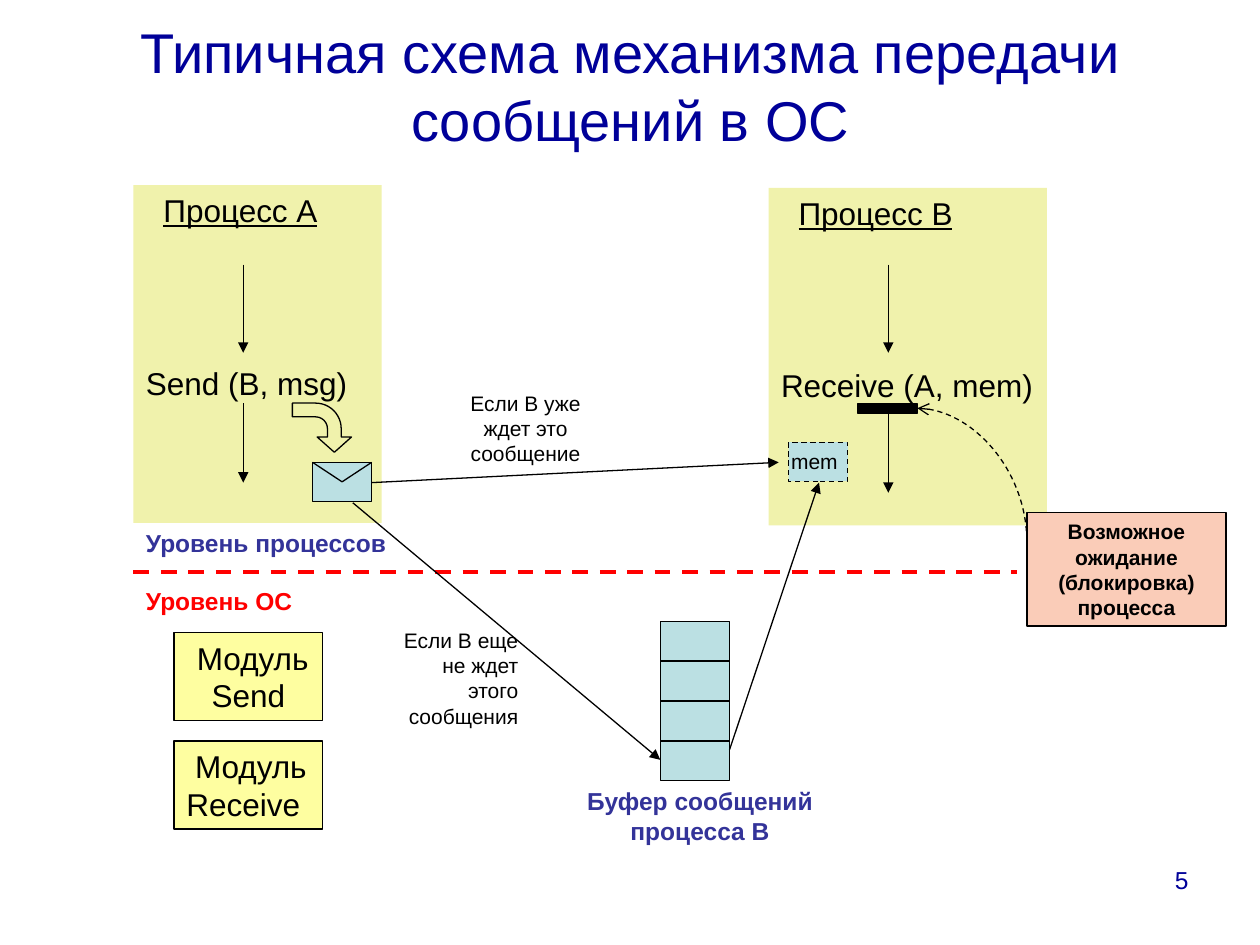
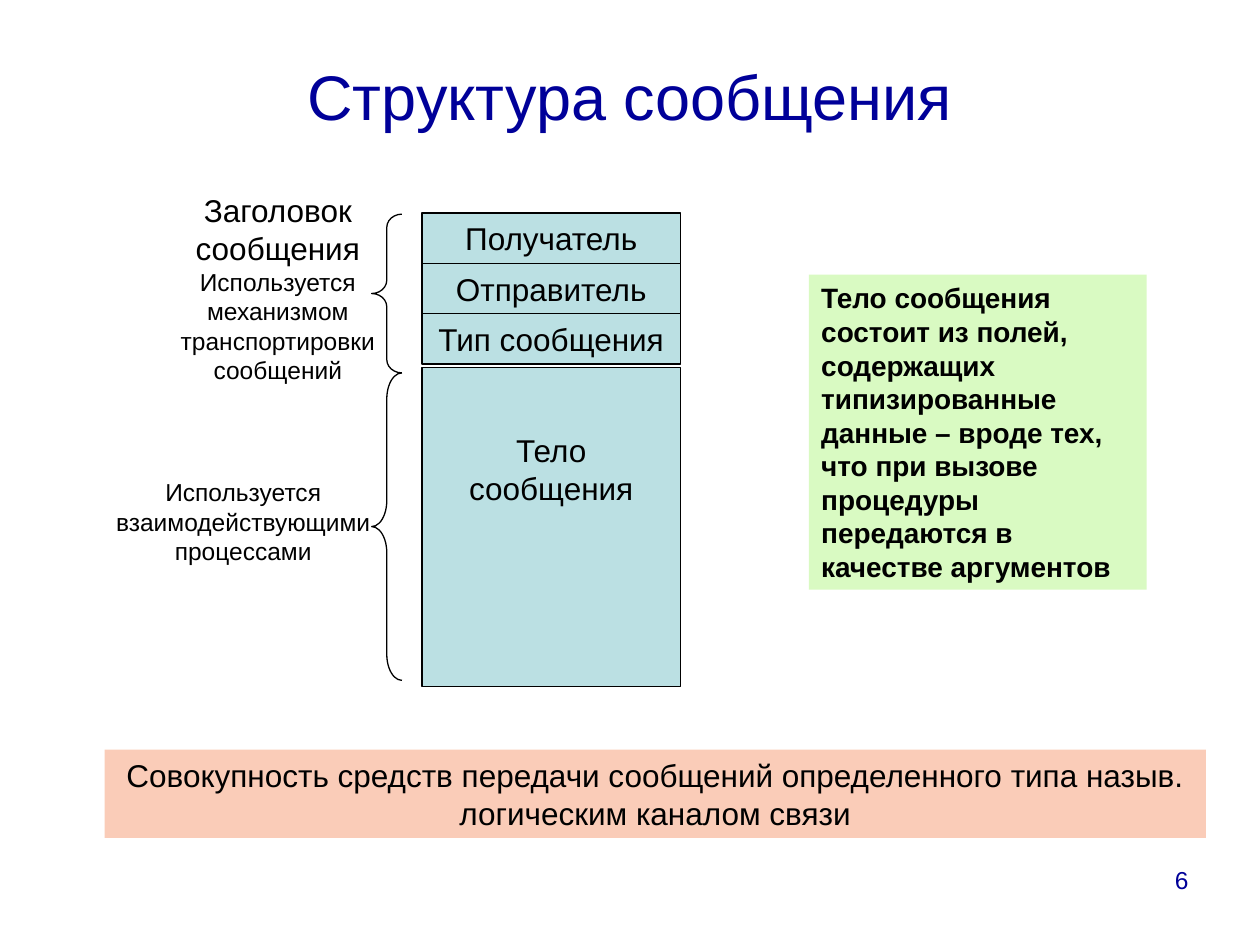
"""Builds two slides on message passing between processes."""
from dataclasses import dataclass

from lxml.etree import SubElement
from pptx import Presentation
from pptx.dml.color import RGBColor
from pptx.enum.dml import MSO_LINE
from pptx.enum.shapes import MSO_CONNECTOR as Link, MSO_SHAPE as Shape
from pptx.enum.text import MSO_ANCHOR as Anchor, PP_ALIGN as Align
from pptx.oxml.ns import qn
from pptx.util import Pt


@dataclass(frozen=True)
class Theme:
    """Colours, type sizes and line widths of the deck."""
    font: str = "Arial"
    ink: str = "000000"
    title: str = "000099"
    label: str = "333399"
    alert: str = "FF0000"
    process: str = "F0F2AC"
    message: str = "BBE0E3"
    module: str = "FEFEA0"
    accent: str = "FACCB8"
    note: str = "D9FAC2"
    body: int = 18
    remark: int = 16
    caption: int = 14
    small: int = 12
    hairline: float = 0.74
    border: float = 2.24


class SlideBuilder:
    """Holds the theme and the current slide, and draws each kind of element."""

    def __init__(self, deck, theme):
        self.deck = deck
        self.theme = theme
        self.page = None

    def start(self, title, area, size, number):
        """Adds a blank page with its title and page number."""
        self.page = self.deck.slides.add_slide(self.deck.slide_layouts[6])
        color = self.theme.title
        self.text(area, title, size, color, align=Align.CENTER, anchor=Anchor.MIDDLE)
        self.text((518.4, 491, 167.8, 37.4), str(number), self.theme.caption, color, align=Align.RIGHT)

    def label(self, box, text, size, color=None, bold=False, align=Align.LEFT, anchor=Anchor.TOP):
        """Fills a box with text in one style."""
        frame = box.text_frame
        frame.word_wrap = True
        frame.vertical_anchor = anchor
        frame.margin_left = frame.margin_right = Pt(7.2)
        frame.margin_top = frame.margin_bottom = Pt(3.6)
        frame.text = text
        for para in frame.paragraphs:
            para.alignment = align
            for span in para.runs:
                self.style(span, size, color, bold)
        return box

    def style(self, span, size, color=None, bold=False):
        """Sets the font of one run."""
        span.font.name = self.theme.font
        span.font.size = Pt(size)
        span.font.bold = bold
        span.font.color.rgb = RGBColor.from_string(color or self.theme.ink)

    def text(self, area, text, size, color=None, **options):
        """Adds a text box."""
        box = self.page.shapes.add_textbox(*map(Pt, area))
        return self.label(box, text, size, color, **options)

    def stroke(self, line, color=None, width=None, dashed=False):
        """Sets colour, width and dash of a line."""
        line.color.rgb = RGBColor.from_string(color or self.theme.ink)
        line.width = Pt(width or self.theme.hairline)
        if dashed:
            line.dash_style = MSO_LINE.DASH

    def shape(self, area, fill=None, kind=Shape.RECTANGLE, outlined=True, dashed=False, adjust=()):
        """Adds a preset shape."""
        box = self.page.shapes.add_shape(kind, *map(Pt, area))
        box.shadow.inherit = False
        if fill:
            box.fill.solid()
            box.fill.fore_color.rgb = RGBColor.from_string(fill)
        else:
            box.fill.background()
        if outlined:
            self.stroke(box.line, dashed=dashed)
        else:
            box.line.fill.background()
        for index, value in enumerate(adjust):
            box.adjustments[index] = value
        return box

    def line(self, start, end, head=None, tail=None, color=None, width=None, dashed=False, curved=False):
        """Adds a connector with optional arrowheads."""
        kind = Link.CURVE if curved else Link.STRAIGHT
        link = self.page.shapes.add_connector(kind, *map(Pt, start + end))
        self.stroke(link.line, color, width, dashed)
        properties = link._element.spPr
        if curved:
            properties.find(qn("a:prstGeom")).set("prst", "curvedConnector2")
        outline = properties.find(qn("a:ln"))
        for tag, arrow in (("a:headEnd", head), ("a:tailEnd", tail)):
            if arrow:
                SubElement(outline, qn(tag), type=arrow)
        SubElement(properties, qn("a:effectLst"))

    def arrow(self, start, end):
        """Adds a straight arrow."""
        self.line(start, end, tail="triangle")

    def process(self, area, name, call, axis, restart):
        """Adds a process panel with its call and flow arrows."""
        panel = self.shape(area, self.theme.process, outlined=False)
        self.label(panel, f"{name}\n{call}", self.theme.body)
        heading, operation = panel.text_frame.paragraphs
        heading._p.get_or_add_pPr().set("marL", str(Pt(10)))
        heading.runs[0].font.underline = True
        operation.space_before = Pt(76.8)
        self.arrow((axis, 151.2), (axis, 201.6))
        self.arrow((axis, restart), (axis, restart + 45.4))

    def envelope(self, left, top, width, height):
        """Adds a message envelope."""
        self.shape((left, top, width, height), self.theme.message)
        tip = (left + width / 2, top + height / 2)
        for corner in (left, left + width):
            self.line((corner, top), tip)


def build_mechanism(builder):
    """Draws the message passing scheme."""
    theme = builder.theme
    builder.start("Типичная схема механизма передачи сообщений в ОС", (14.4, 3.6, 692, 90), 32, 5)
    builder.process((76.3, 105.8, 141.8, 193), "Процесс А", "Send (В, msg)", 139, 230.4)
    builder.process((439.2, 107.3, 159.1, 193), "Процесс B", "Receive (A, mem)", 507.6, 236.2)

    builder.envelope(178.6, 264.2, 33.8, 22.3)
    turn = builder.shape((169.9, 227.5, 28.1, 33.8), kind=Shape.BENT_ARROW, adjust=(0.28, 0.35, 0.31, 0.52))
    turn.rotation = 90
    builder.shape((450.7, 252.7, 33.8, 22.3), theme.message, dashed=True)
    builder.text((445, 252.7, 45.4, 21.6), "mem", theme.small)
    builder.shape((490.3, 230.4, 33.8, 5.8), theme.ink)

    builder.line((76.3, 326.9), (581, 326.9), color=theme.alert, width=theme.border, dashed=True)
    for top, level, color in ((298.1, "Уровень процессов", theme.label), (331.2, "Уровень ОС", theme.alert)):
        builder.text((76.3, top, 164.2, 24.5), level, theme.caption, color, bold=True)
    for top, module, align in ((361.4, " Модуль Send", Align.CENTER), (423.4, " Модуль Receive", Align.LEFT)):
        box = builder.shape((99.4, top, 85, 50.4), theme.module)
        builder.label(box, module, theme.body, align=align)

    for slot in range(4):
        builder.shape((377.3, 355 + 22.8 * slot, 39.6, 22.8), theme.message)
    builder.text((326.2, 445.7, 147.6, 41), "Буфер сообщений процесса В", theme.caption,
                 theme.label, bold=True, align=Align.CENTER)
    builder.arrow((212.4, 275.8), (445, 264.2))
    builder.arrow((201.6, 287.3), (377.3, 434.2))
    builder.arrow((416.9, 428.4), (468, 275.8))
    builder.text((218.2, 355, 85, 64.8), "Если В еще не ждет этого сообщения", theme.small, align=Align.RIGHT)
    builder.text((257.8, 219.6, 85, 50.4), "Если В уже ждет это сообщение", theme.small, align=Align.CENTER)

    builder.line((524.2, 233.3), (586.8, 309.6), head="arrow", dashed=True, curved=True)
    waiting = builder.shape((586.8, 293, 113.8, 64.8), theme.accent)
    builder.label(waiting, "Возможное ожидание (блокировка) процесса", theme.small, bold=True, align=Align.CENTER)


def build_structure(builder):
    """Draws the structure of a message."""
    theme = builder.theme
    builder.start("Структура сообщения", (36, 9.4, 648, 90), 36, 6)
    for row, field in enumerate(("Получатель", "Отправитель", "Тип сообщения")):
        box = builder.shape((241.2, 121.7 + 28.8 * row, 147.6, 28.8), theme.message)
        builder.label(box, field, theme.body, align=Align.CENTER)
    content = builder.shape((241.2, 210.2, 147.6, 182.2), theme.message)
    builder.label(content, "Тело сообщения", theme.body, align=Align.CENTER)
    content.text_frame.margin_top = Pt(36.4)

    for top, height, bend in ((122.4, 90.7, 0.44), (213.1, 175.7, 0.86)):
        builder.shape((212.4, top, 17.3, height), kind=Shape.LEFT_BRACE, adjust=(bend, 0.5))
    header = builder.text((93.6, 105.8, 130.3, 118.1), "Заголовок сообщения ", theme.body, align=Align.CENTER)
    usage = header.text_frame.paragraphs[0].add_run()
    usage.text = "Используется механизмом транспортировки сообщений"
    builder.style(usage, theme.caption)
    builder.text((54, 269.3, 170, 57.6), "Используется взаимодействующими процессами",
                 theme.caption, align=Align.CENTER)

    note = builder.shape((462.2, 157, 193, 180), theme.note, outlined=False)
    builder.label(note, "Тело сообщения состоит из полей, содержащих типизированные данные – вроде тех, "
                  "что при вызове процедуры передаются в качестве аргументов", theme.remark, bold=True)
    summary = builder.shape((59.8, 428.4, 629.3, 50.4), theme.accent, outlined=False)
    builder.label(summary, "Совокупность средств передачи сообщений определенного типа назыв. "
                  "логическим каналом связи", theme.body, align=Align.CENTER)


def main():
    """Builds and saves the deck."""
    deck = Presentation()
    deck.slide_width, deck.slide_height = Pt(720), Pt(540)
    builder = SlideBuilder(deck, Theme())
    build_mechanism(builder)
    build_structure(builder)
    deck.save("out.pptx")


main()
